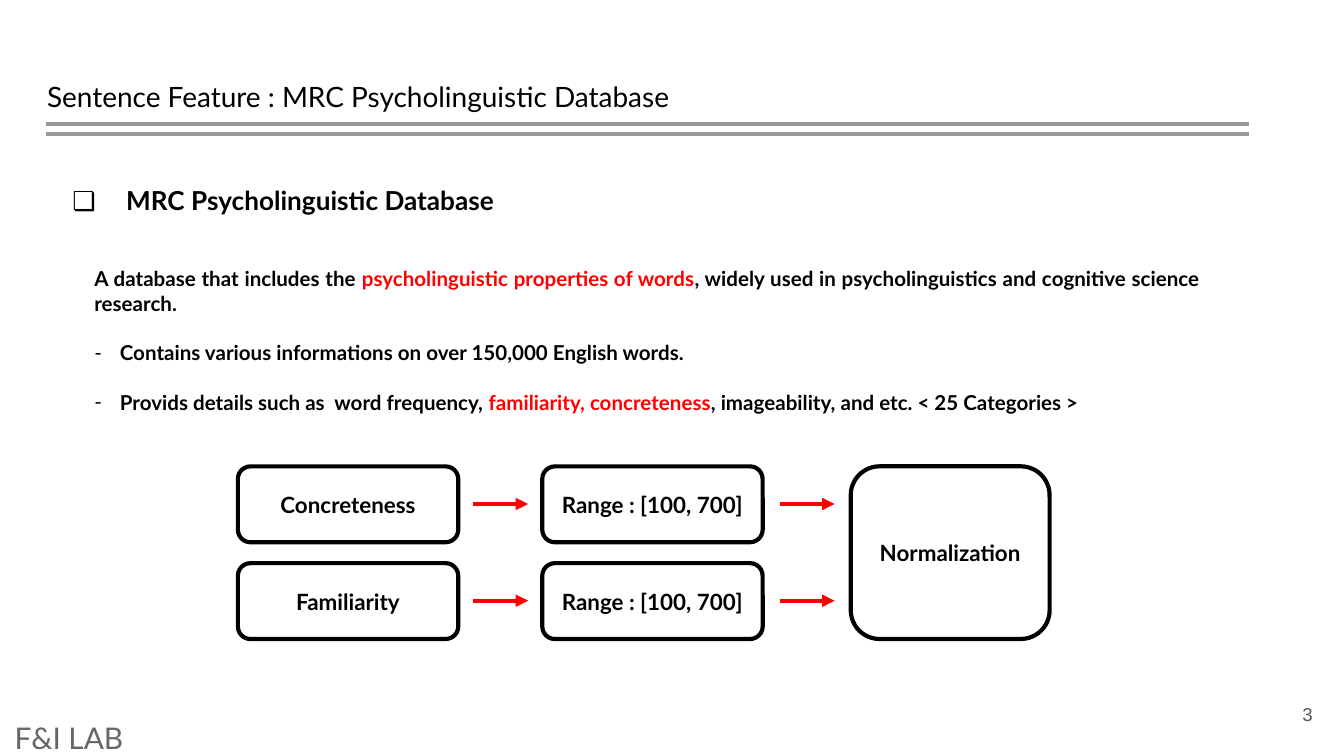
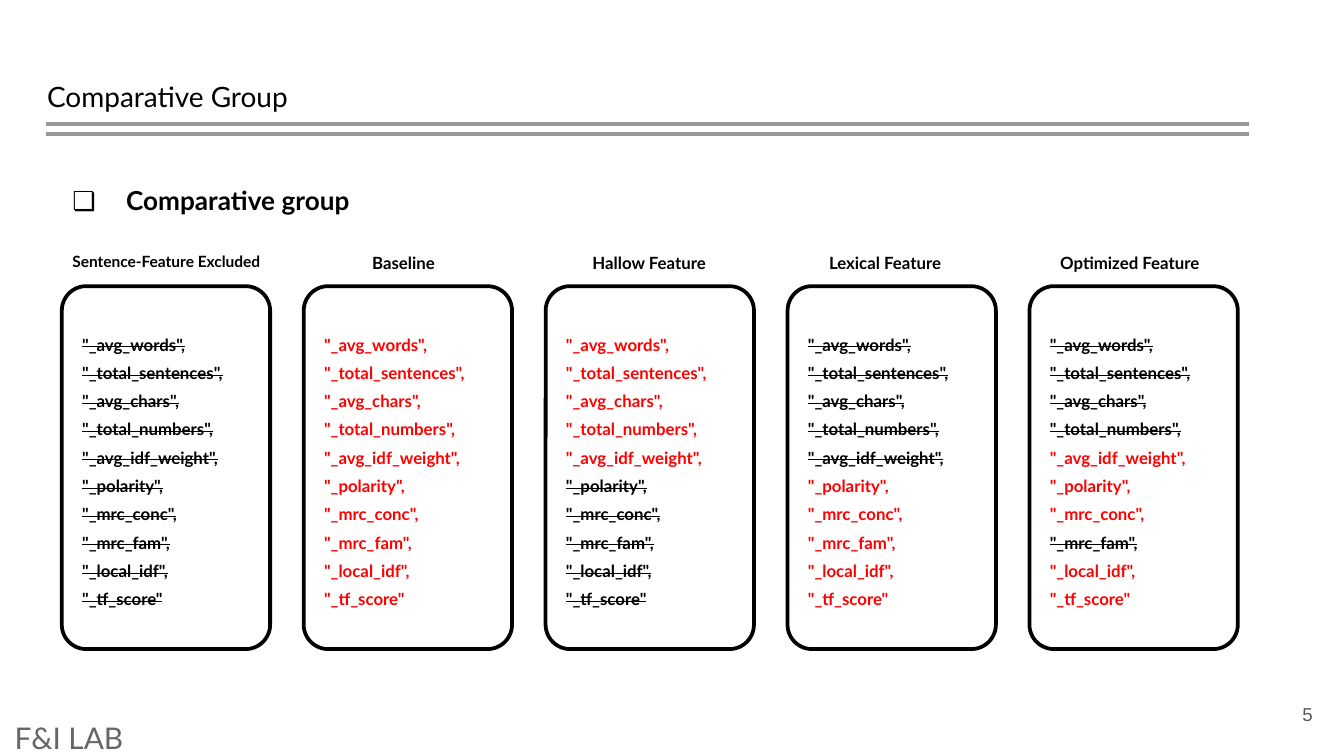
"""Build two slides on sentence features and the groups compared."""
from lxml import etree
from pptx import Presentation
from pptx.dml.color import RGBColor
from pptx.enum.shapes import MSO_CONNECTOR, MSO_SHAPE
from pptx.enum.text import MSO_ANCHOR, MSO_AUTO_SIZE, PP_ALIGN
from pptx.oxml.ns import qn
from pptx.util import Emu, Pt

PX = 4572
STRAIGHT = MSO_CONNECTOR.STRAIGHT
ROUNDED = MSO_SHAPE.ROUNDED_RECTANGLE
TOP, MIDDLE = MSO_ANCHOR.TOP, MSO_ANCHOR.MIDDLE
LEFT, CENTER, RIGHT, JUSTIFY = PP_ALIGN.LEFT, PP_ALIGN.CENTER, PP_ALIGN.RIGHT, PP_ALIGN.JUSTIFY
NO_FIT = MSO_AUTO_SIZE.NONE
TITLE_ONLY = 5

COLORS = {
    "ink": "000000",
    "accent": "FF0000",
    "paper": "FFFFFF",
    "rule": "999999",
    "footer": "666666",
    "number": "595959",
}

FEATURES = ["_avg_words", "_total_sentences", "_avg_chars", "_total_numbers", "_avg_idf_weight",
            "_polarity", "_mrc_conc", "_mrc_fam", "_local_idf", "_tf_score"]

GROUPS = [
    ("Sentence-Feature Excluded", 68, 368, 8.3, []),
    ("Baseline", 514, 182, 9, FEATURES),
    ("Hallow Feature", 842, 310, 9, FEATURES[:5]),
    ("Lexical Feature", 1194, 262, 9, FEATURES[5:]),
    ("Optimized Feature", 1538, 280, 9, FEATURES[4:7] + FEATURES[8:]),
]


def px(length):
    return Emu(length * PX)


def color(name):
    return RGBColor.from_string(COLORS[name])


class Slides:
    """Hold the style and the current page, and draw each kind of element on it."""

    def __init__(self):
        self.deck = Presentation()
        self.deck.slide_width, self.deck.slide_height = px(2000), px(1125)
        self.font = "Lato"
        self.page = None

    def new_page(self, title, heading, number):
        self.page = self.deck.slides.add_slide(self.deck.slide_layouts[TITLE_ONLY])
        box = self.page.shapes.title
        box.left, box.top, box.width, box.height = map(px, (50, 98, 1864, 126))
        self.frame(box, TOP, 20)
        self.para(box, [(title, "ink")], 15, bold=False)
        rules = self.page.shapes.add_group_shape()
        for y in (185, 200):
            self.line(rules.shapes, 68, 1858, y, "rule")
        box = self.text_box(68, 248, 912, 126)
        self.para(box, [(heading, "ink")], 14, spacing=1.15, indent=(100, -80), bullet="❏")
        box = self.text_box(1853, 1020, 120, 86, MIDDLE)
        self.para(box, [(number, "number")], 10, RIGHT, bold=False, font="Arial")
        box = self.text_box(2, 1069, 1998, 56, MIDDLE)
        self.para(box, [("F&I LAB", "footer")], 16, bold=False)

    def frame(self, box, anchor, inset):
        frame = box.text_frame
        frame.word_wrap = True
        frame.auto_size = NO_FIT
        frame.vertical_anchor = anchor
        frame.margin_left = frame.margin_right = px(20)
        frame.margin_top = frame.margin_bottom = px(inset)

    def text_box(self, x, y, width, height, anchor=TOP):
        box = self.page.shapes.add_textbox(px(x), px(y), px(width), px(height))
        self.frame(box, anchor, 20)
        return box

    def rounded(self, x, y, width, height, weight=None, fill=None, corner=None):
        box = self.page.shapes.add_shape(ROUNDED, px(x), px(y), px(width), px(height))
        box.shadow.inherit = False
        if corner:
            box.adjustments[0] = corner
        if fill:
            box.fill.solid()
            box.fill.fore_color.rgb = color(fill)
        else:
            box.fill.background()
        if weight:
            box.line.color.rgb = color("ink")
            box.line.width = Pt(weight)
        else:
            box.line.fill.background()
        self.frame(box, MIDDLE, 10)
        return box

    def para(self, box, spans, size, align=LEFT, bold=True, font=None,
             spacing=None, before=0, indent=None, bullet=None):
        frame = box.text_frame
        para = frame.paragraphs[0]
        if para.runs:
            para = frame.add_paragraph()
        para.alignment = align
        para.space_before = Pt(before)
        if spacing:
            para.line_spacing = spacing
        properties = para._p.get_or_add_pPr()
        if indent:
            properties.set("marL", str(px(indent[0])))
            properties.set("indent", str(px(indent[1])))
        if bullet:
            tint = etree.SubElement(properties, qn("a:buClr"))
            etree.SubElement(tint, qn("a:srgbClr"), val=COLORS["ink"])
            etree.SubElement(properties, qn("a:buFont"), typeface=self.font)
            etree.SubElement(properties, qn("a:buChar"), char=bullet)
        for text, tone, *strike in spans:
            span = para.add_run()
            span.text = text
            span.font.name = font or self.font
            span.font.size = Pt(size)
            span.font.bold = bold
            span.font.color.rgb = color(tone)
            if any(strike):
                span._r.get_or_add_rPr().set("strike", "sngStrike")

    def line(self, shapes, start, end, y, tone, arrow=False):
        line = shapes.add_connector(STRAIGHT, px(start), px(y), px(end), px(y))
        line.line.color.rgb = color(tone)
        line.line.width = Pt(2.25)
        if arrow:
            etree.SubElement(line.line._get_or_add_ln(), qn("a:tailEnd"), type="triangle")
        etree.SubElement(line._element.spPr, qn("a:effectLst"))

    def step(self, text, x, y, width, height):
        box = self.rounded(x, y, width, height, 2.25)
        self.para(box, [(text, "ink")], 12, CENTER)

    def arrow(self, x, y):
        self.line(self.page.shapes, x, x + 82, y, "accent", arrow=True)


def database_page(slides):
    slides.new_page("Sentence Feature : MRC Psycholinguistic Database",
                    "MRC Psycholinguistic Database", "3")
    summary = slides.rounded(104, 336, 1718, 341)
    slides.para(summary, [
        ("A database that includes the ", "ink"),
        ("psycholinguistic properties of words", "accent"),
        (", widely used in psycholinguistics and cognitive science research.", "ink"),
    ], 11, JUSTIFY)
    details = [
        [("Contains various informations on over 150,000 English words.", "ink")],
        [("Provids details such as  word frequency, ", "ink"),
         ("familiarity, concreteness", "accent"),
         (", imageability, and etc. < 25 Categories >", "ink")],
    ]
    for spans in details:
        slides.para(summary, spans, 11, JUSTIFY, before=13.2, indent=(38, -38), bullet="-")
    for row, name in enumerate(("Concreteness", "Familiarity")):
        y = 694 + 144 * row
        slides.step(name, 354, y, 328, 113)
        slides.step("Range : [100, 700]", 807, y, 328, 113)
        for x in (704, 1160):
            slides.arrow(x, y + 56)
    slides.step("Normalization", 1266, 694, 296, 257)


def groups_page(slides):
    slides.new_page("Comparative Group", "Comparative group", "5")
    for column, (name, x, width, size, used) in enumerate(GROUPS):
        label = slides.text_box(x, 351, width, 96)
        slides.para(label, [(name, "ink")], size, spacing=1.15, indent=(20, 0))
        card = slides.rounded(92 + 360 * column, 426, 310, 540, 2, "paper", 0.117)
        for feature in FEATURES:
            comma = "" if feature == FEATURES[-1] else ","
            kept = feature in used
            span = (f'"{feature}"{comma}', "accent" if kept else "ink", not kept)
            slides.para(card, [span], 9, spacing=1.4)


def main():
    slides = Slides()
    database_page(slides)
    groups_page(slides)
    slides.deck.save("out.pptx")


if __name__ == "__main__":
    main()
